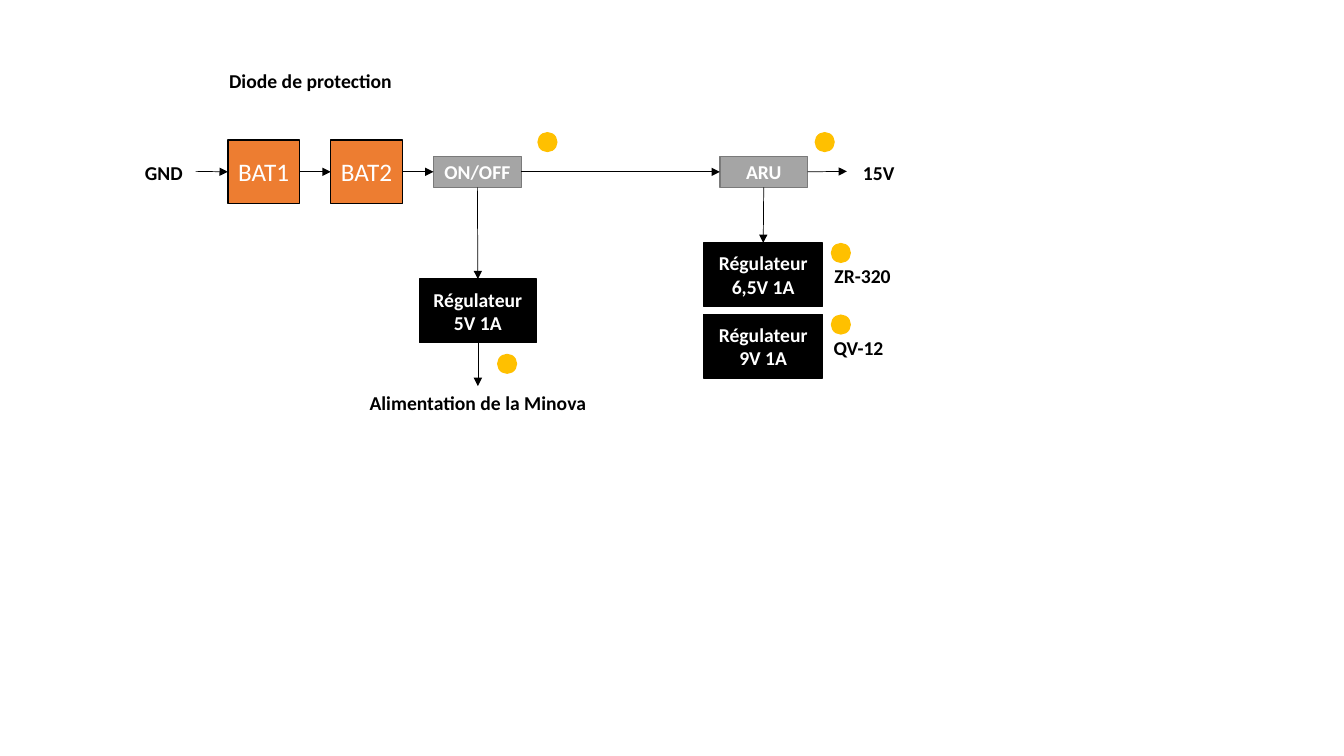
import pptx
import pptx.dml.color
import pptx.enum.shapes
import pptx.enum.text
import pptx.oxml
import pptx.oxml.ns
import pptx.util

Inches = pptx.util.Inches
SHAPES = pptx.enum.shapes.MSO_SHAPE
TOP, LEFT, BOTTOM, RIGHT = range(4)  # connection sites of a rectangle
MAIN_Y = 1.7
BLACK, WHITE = "000000", "FFFFFF"
ORANGE, GREY, DARK_GREY, AMBER = "ED7D31", "A5A5A5", "7A7A7A", "FFC000"


def color(hex_value):
    """Turn a hex string into a colour."""
    return pptx.dml.color.RGBColor.from_string(hex_value)


def write_text(shape, text, size=14, bold=True, ink=BLACK, wrap=True, anchor="TOP"):
    """Write centred text, one paragraph for each line."""
    frame = shape.text_frame
    frame.word_wrap = wrap
    frame.vertical_anchor = getattr(pptx.enum.text.MSO_ANCHOR, anchor)
    frame.text = text
    for paragraph in frame.paragraphs:
        paragraph.alignment = pptx.enum.text.PP_ALIGN.CENTER
        font = paragraph.runs[0].font
        font.name, font.size, font.bold = "Calibri", pptx.util.Pt(size), bold
        font.color.rgb = color(ink)


def add_filled(slide, kind, left, top, width, height, fill):
    """Add a preset shape with a plain fill and no shadow."""
    shape = slide.shapes.add_shape(
        kind, Inches(left), Inches(top), Inches(width), Inches(height))
    shape.shadow.inherit = False
    shape.fill.solid()
    shape.fill.fore_color.rgb = color(fill)
    return shape


def add_block(slide, text, left, top, width, height, fill, outline=BLACK, **text_format):
    """Add an outlined component with its name."""
    block = add_filled(slide, SHAPES.RECTANGLE, left, top, width, height, fill)
    block.line.color.rgb = color(outline)
    block.line.width = pptx.util.Pt(1)
    write_text(block, text, ink=WHITE, wrap=False, anchor="MIDDLE", **text_format)
    return block


def add_light(slide, left, top):
    """Add a round indicator light."""
    light = add_filled(slide, SHAPES.OVAL, left, top, 0.2, 0.2, AMBER)
    light.line.fill.background()


def add_label(slide, text, left, top, width):
    """Add a bold caption."""
    label = slide.shapes.add_textbox(
        Inches(left), Inches(top), Inches(width), Inches(0.34))
    write_text(label, text)
    label.text_frame.auto_size = pptx.enum.text.MSO_AUTO_SIZE.SHAPE_TO_FIT_TEXT


def add_arrow(slide, start, end, source=None, target=None):
    """Add an arrow, glued to the (shape, site) pairs that are given."""
    points = [Inches(value) for value in (*start, *end)]
    arrow = slide.shapes.add_connector(
        pptx.enum.shapes.MSO_CONNECTOR.STRAIGHT, *points)
    if source:
        arrow.begin_connect(*source)
    if target:
        arrow.end_connect(*target)
    arrow.line.color.rgb = color(BLACK)
    arrow.line.width = pptx.util.Pt(0.5)
    namespace = pptx.oxml.ns.nsdecls("a")
    arrow.line._get_or_add_ln().append(
        pptx.oxml.parse_xml(f'<a:tailEnd {namespace} type="triangle"/>'))
    arrow._element.spPr.append(pptx.oxml.parse_xml(f"<a:effectLst {namespace}/>"))


def main():
    """Build the power supply diagram."""
    presentation = pptx.Presentation()
    presentation.slide_width = Inches(13.33)
    presentation.slide_height = Inches(7.5)
    slide = presentation.slides.add_slide(presentation.slide_layouts[6])

    batteries = [
        add_block(slide, f"BAT{number}", left, 1.39, 0.71, 0.63, ORANGE,
                  size=18, bold=False)
        for number, left in ((1, 2.26), (2, 3.28))]
    switch, stop = [
        add_block(slide, name, left, 1.55, 0.87, 0.31, GREY, DARK_GREY)
        for name, left in (("ON/OFF", 4.3), ("ARU", 7.14))]
    regulator_5v, regulator_6v, _ = [
        add_block(slide, f"Régulateur\n{rating}", left, top, width, 0.63, BLACK)
        for rating, left, top, width in (
            ("5V 1A", 4.16, 2.77, 1.16),
            ("6,5V 1A", 6.98, 2.41, 1.18),
            ("9V 1A", 6.98, 3.12, 1.18))]

    chain = [*batteries, switch, stop]
    add_arrow(slide, (1.94, MAIN_Y), (2.26, MAIN_Y), target=(chain[0], LEFT))
    for source, target in zip(chain, chain[1:]):
        add_arrow(slide, (0, 0), (0, 0), (source, RIGHT), (target, LEFT))
    add_arrow(slide, (8.01, MAIN_Y), (8.4, MAIN_Y), source=(stop, RIGHT))
    for source, target in ((switch, regulator_5v), (stop, regulator_6v)):
        add_arrow(slide, (0, 0), (0, 0), (source, BOTTOM), (target, TOP))
    add_arrow(slide, (4.74, 3.4), (4.74, 3.83), source=(regulator_5v, BOTTOM))

    for text, left, top, width in (
            ("Diode de protection", 1.86, 0.63, 2.44),
            ("GND", 1.31, 1.55, 0.63),
            ("15V", 8.4, 1.55, 0.63),
            ("Alimentation de la Minova", 3.52, 3.83, 2.44),
            ("ZR-320", 8.16, 2.57, 0.79),
            ("QV-12", 8.16, 3.28, 0.71)):
        add_label(slide, text, left, top, width)

    for left, top in ((5.33, 1.31), (8.08, 1.31), (8.24, 2.41),
                      (8.24, 3.12), (4.93, 3.51)):
        add_light(slide, left, top)

    presentation.save("out.pptx")


main()
